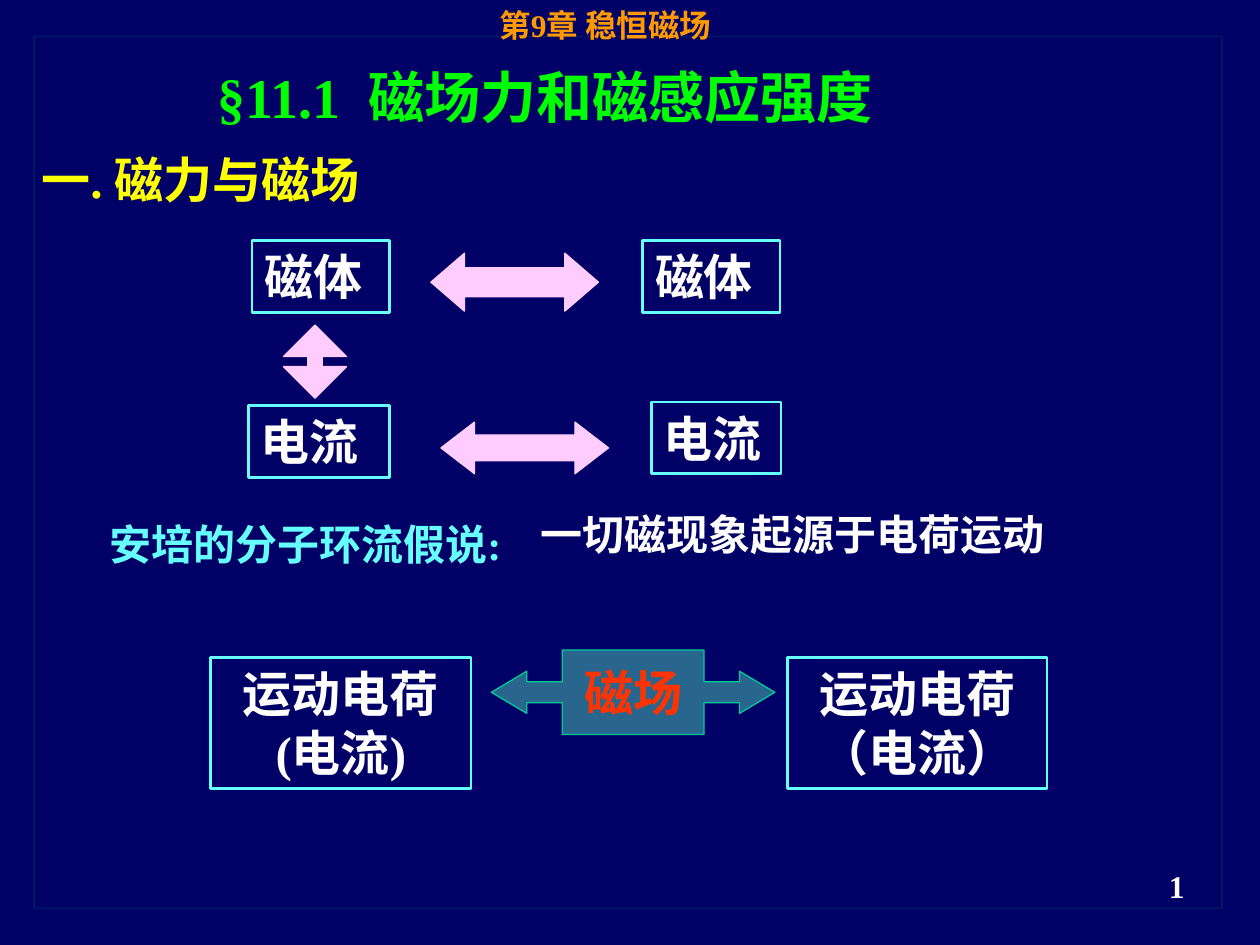
from dataclasses import dataclass

from lxml import etree
from pptx import Presentation
from pptx.dml.color import RGBColor
from pptx.enum.shapes import MSO_SHAPE
from pptx.enum.text import MSO_ANCHOR, MSO_AUTO_SIZE, PP_ALIGN
from pptx.oxml.ns import qn
from pptx.util import Inches, Pt

RECTANGLE = MSO_SHAPE.RECTANGLE
HORIZONTAL = MSO_SHAPE.LEFT_RIGHT_ARROW
VERTICAL = MSO_SHAPE.UP_DOWN_ARROW
CALLOUT = MSO_SHAPE.LEFT_RIGHT_ARROW_CALLOUT
LEFT, CENTER, RIGHT = PP_ALIGN.LEFT, PP_ALIGN.CENTER, PP_ALIGN.RIGHT
TOP, MIDDLE = MSO_ANCHOR.TOP, MSO_ANCHOR.MIDDLE
GROW, FIXED = MSO_AUTO_SIZE.SHAPE_TO_FIT_TEXT, MSO_AUTO_SIZE.NONE


@dataclass(frozen=True)
class Theme:
    font: str = "Times New Roman"
    background: str = "000066"
    frame: str = "003366"
    chapter: str = "FF9900"
    title: str = "00FF00"
    heading: str = "FFFF00"
    accent: str = "66FFFF"
    text: str = "FFFFFF"
    arrow: str = "FFCCFF"
    field_fill: str = "66FFCC"
    field_line: str = "00CC99"
    field_text: str = "FF3300"
    title_size: int = 32
    heading_size: int = 28
    body_size: int = 24
    small_size: int = 18


THEME = Theme()
WIDTH, HEIGHT = 10, 7.5
COLUMNS, ROWS = 100, 75

FRAME = (2.7, 2.9, 94.3, 69.2)
LABELS = [
    ("§11.1  磁场力和磁感应强度", (16.3, 4.5, 60.4, 6.4), THEME.title_size, THEME.title, LEFT, GROW, True),
    ("一. 磁力与磁场", (2.3, 11.4, 33.5, 5.7), THEME.heading_size, THEME.heading, LEFT, GROW, True),
    ("安培的分子环流假说:", (7.7, 40.7, 33.9, 5), THEME.body_size, THEME.accent, LEFT, GROW, False),
    ("一切磁现象起源于电荷运动", (41.9, 39.9, 42.8, 5), THEME.body_size, THEME.text, LEFT, GROW, True),
    ("第9章 稳恒磁场", (31.1, 0, 33.9, 5.2), THEME.small_size, THEME.chapter, CENTER, FIXED, True),
    ("1", (71.7, 68.3, 23.3, 5.2), THEME.small_size, THEME.text, RIGHT, FIXED, True),
]
BOXES = [
    ("磁体", (20, 19.1, 10.9, 5.7), LEFT),
    ("磁体", (51, 19.1, 10.9, 5.7), LEFT),
    ("电流", (19.7, 32.2, 11.2, 5.7), LEFT),
    ("电流", (51.7, 31.9, 10.3, 5.7), LEFT),
    ("运动电荷(电流)", (16.7, 52.2, 20.7, 10.4), CENTER),
    ("运动电荷（电流）", (62.5, 52.2, 20.6, 10.4), CENTER),
]
ARROWS = [
    (HORIZONTAL, (34.2, 20.1, 13.3, 4.6), (0.5, 0.58)),
    (HORIZONTAL, (35, 33.5, 13.3, 4.1), (0.5, 0.65)),
    (VERTICAL, (22.5, 25.8, 5, 5.8), (0.5, 0.23)),
]
FIELD = ("磁场", (39, 51.6, 22.5, 6.7), (0.25, 0.25, 0.42, 0.5))


def place(cells):
    column, row, columns, rows = cells
    across, down = WIDTH / COLUMNS, HEIGHT / ROWS
    return [Inches(value) for value in (column * across, row * down, columns * across, rows * down)]


def paint(color_format, color, opacity=100):
    color_format.solid()
    color_format.fore_color.rgb = RGBColor.from_string(color)
    if opacity < 100:
        element = color_format.fore_color._xFill.find(qn("a:srgbClr"))
        etree.SubElement(element, qn("a:alpha"), val=str(opacity * 1000))


def add_shape(slide, kind, cells, line, line_width, fill=None, opacity=100, line_opacity=100, adjustments=()):
    shape = slide.shapes.add_shape(kind, *place(cells))
    shape.shadow.inherit = False
    for index, value in enumerate(adjustments):
        shape.adjustments[index] = value
    if fill:
        paint(shape.fill, fill, opacity)
    else:
        shape.fill.background()
    paint(shape.line.fill, line, line_opacity)
    shape.line.width = Pt(line_width)
    return shape


def write(shape, text, size, color, alignment=LEFT, auto_size=GROW, wrap=True, anchor=TOP):
    frame = shape.text_frame
    frame.text = text
    frame.word_wrap = wrap
    frame.auto_size = auto_size
    frame.vertical_anchor = anchor
    paragraph = frame.paragraphs[0]
    paragraph.alignment = alignment
    for run in paragraph.runs:
        run.font.name = THEME.font
        run.font.size = Pt(size)
        run.font.bold = True
        run.font.color.rgb = RGBColor.from_string(color)


def main():
    presentation = Presentation()
    presentation.slide_width, presentation.slide_height = Inches(WIDTH), Inches(HEIGHT)
    slide = presentation.slides.add_slide(presentation.slide_layouts[6])
    paint(slide.background.fill, THEME.background)

    add_shape(slide, RECTANGLE, FRAME, THEME.frame, 1, line_opacity=50)
    for text, cells, alignment in BOXES:
        box = add_shape(slide, RECTANGLE, cells, THEME.accent, 1.5)
        write(box, text, THEME.heading_size, THEME.text, alignment)
    for kind, cells, adjustments in ARROWS:
        add_shape(slide, kind, cells, THEME.arrow, 0.75, THEME.arrow, adjustments=adjustments)

    text, cells, adjustments = FIELD
    field = add_shape(slide, CALLOUT, cells, THEME.field_line, 0.75, THEME.field_fill, 40, adjustments=adjustments)
    write(field, text, THEME.heading_size, THEME.field_text, CENTER, FIXED, False, MIDDLE)

    for text, cells, size, color, alignment, auto_size, wrap in LABELS:
        label = slide.shapes.add_textbox(*place(cells))
        write(label, text, size, color, alignment, auto_size, wrap)

    presentation.save("out.pptx")


if __name__ == "__main__":
    main()
